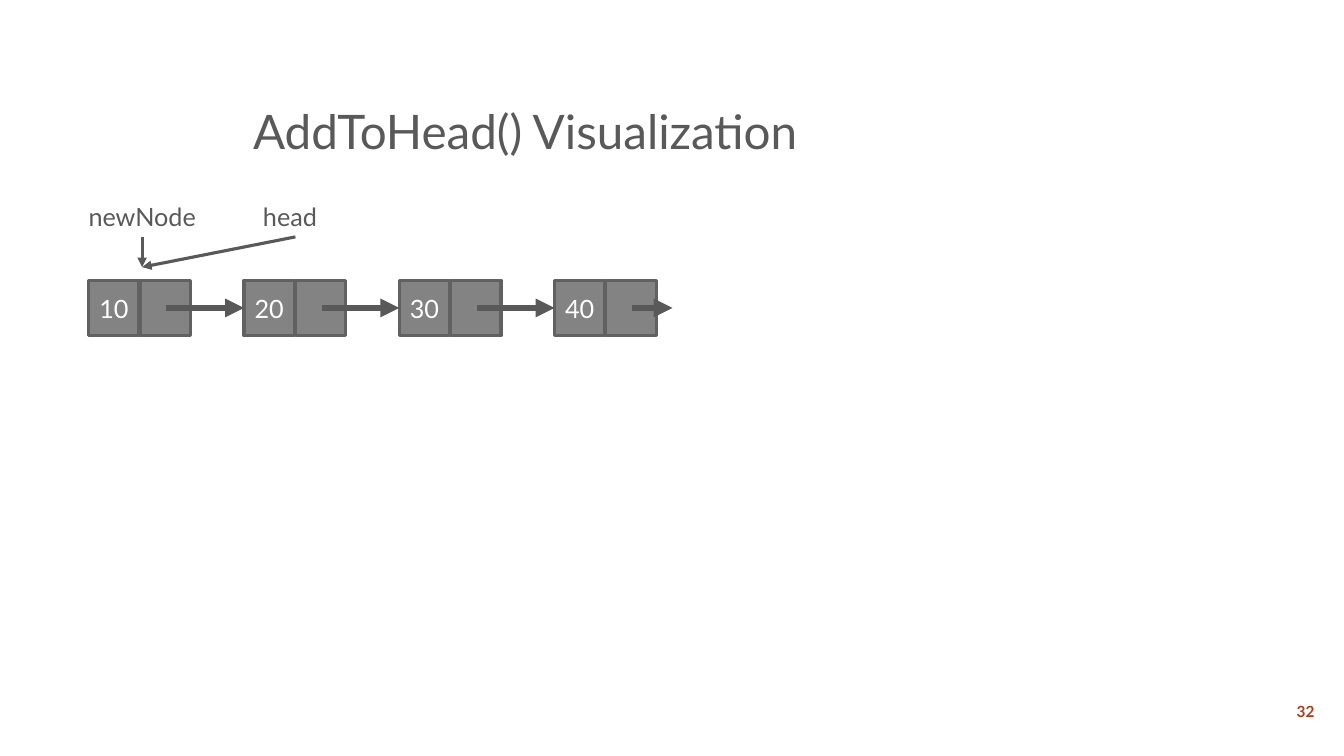
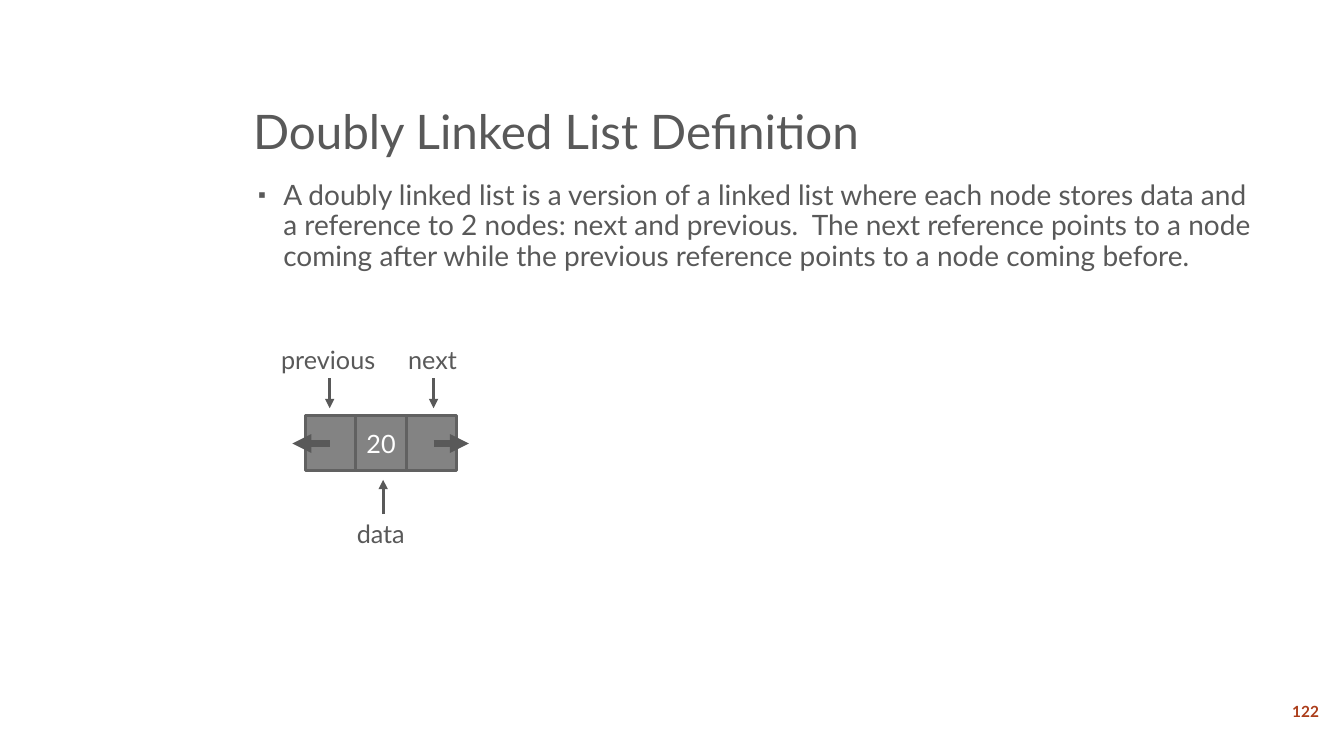
"""Build two slides that explain singly and doubly linked lists."""
import pptx
import pptx.dml.color
import pptx.enum.shapes
import pptx.enum.text
import pptx.oxml
import pptx.oxml.ns
import pptx.util

Inches = pptx.util.Inches
Pt = pptx.util.Pt
RGBColor = pptx.dml.color.RGBColor
Align = pptx.enum.text.PP_ALIGN
Anchor = pptx.enum.text.MSO_ANCHOR

FONT = "Lato"
TEXT = RGBColor(0x59, 0x59, 0x59)
CELL_FILL = RGBColor(0x83, 0x83, 0x83)
CELL_LINE = RGBColor(0x61, 0x61, 0x61)
ACCENT = RGBColor(0xAB, 0x3C, 0x19)
WHITE = RGBColor(0xFF, 0xFF, 0xFF)

TITLE_ONLY, TITLE_AND_BODY = 5, 1
CONTENT_LEFT, CONTENT_WIDTH = 2.41, 10.25
CELL_WIDTH, CELL_HEIGHT = 0.5, 0.55


def add_xml(parent, tag, **attributes):
    """Append a drawing element with attributes to a parent element."""
    child = pptx.oxml.parse_xml(f"<a:{tag} {pptx.oxml.ns.nsdecls('a')}/>")
    for name, value in attributes.items():
        child.set(name, value)
    parent.append(child)


def place(sp, left, top, width, height):
    """Move and size a shape, in inches."""
    sp.left, sp.top = Inches(left), Inches(top)
    sp.width, sp.height = Inches(width), Inches(height)


def write(sp, text, size=18, color=TEXT, bold=False, align=Align.LEFT,
          anchor=Anchor.TOP, wrap=True, spacing=1.0):
    """Fill a shape with one formatted paragraph and return the paragraph."""
    tf = sp.text_frame
    tf.auto_size = pptx.enum.text.MSO_AUTO_SIZE.NONE
    tf.word_wrap = wrap
    tf.vertical_anchor = anchor
    p = tf.paragraphs[0]
    p.alignment = align
    p.line_spacing = spacing
    p.space_before = Pt(0)
    r = p.add_run()
    r.text = text
    r.font.name = FONT
    r.font.size = Pt(size)
    r.font.bold = bold
    r.font.color.rgb = color
    return p


def add_label(slide, text, left, top, width, height=0.4, **formats):
    """Add a text box."""
    sp = slide.shapes.add_textbox(Inches(left), Inches(top),
                                  Inches(width), Inches(height))
    write(sp, text, **formats)


def add_cell(slide, left, top, text=""):
    """Add one rectangular cell of a node."""
    sp = slide.shapes.add_shape(
        pptx.enum.shapes.MSO_SHAPE.RECTANGLE, Inches(left), Inches(top),
        Inches(CELL_WIDTH), Inches(CELL_HEIGHT))
    sp.shadow.inherit = False
    sp.fill.solid()
    sp.fill.fore_color.rgb = CELL_FILL
    sp.line.color.rgb = CELL_LINE
    sp.line.width = Pt(2.25)
    if text:
        write(sp, text, color=WHITE, align=Align.CENTER, anchor=Anchor.MIDDLE)
    return sp


def add_arrow(slide, start, end, width=2.25):
    """Add a straight arrow between two points and return it."""
    line = slide.shapes.add_connector(
        pptx.enum.shapes.MSO_CONNECTOR.STRAIGHT,
        *(Inches(value) for value in (*start, *end)))
    line.line.color.rgb = TEXT
    line.line.width = Pt(width)
    add_xml(line.line._get_or_add_ln(), "tailEnd", type="triangle")
    add_xml(line._element.spPr, "effectLst")
    return line


def add_slide(prs, layout, title, number):
    """Add a slide with its title and slide number."""
    slide = prs.slides.add_slide(prs.slide_layouts[layout])
    place(slide.shapes.title, CONTENT_LEFT, 0.33, CONTENT_WIDTH, 1.31)
    write(slide.shapes.title, title, size=34, anchor=Anchor.BOTTOM, spacing=0.9)
    add_label(slide, number, 12.66, 6.87, 0.58, 0.38, size=11, color=ACCENT,
              bold=True, align=Align.CENTER, anchor=Anchor.MIDDLE)
    return slide


def add_bullet(slide, text):
    """Fill the body placeholder with one bulleted paragraph."""
    body = slide.placeholders[1]
    place(body, CONTENT_LEFT, 1.75, CONTENT_WIDTH, 4.5)
    p = write(body, text, size=20, spacing=0.9)
    pPr = p._p.get_or_add_pPr()
    pPr.set("marL", str(Inches(0.3)))
    pPr.set("indent", str(Inches(-0.25)))
    add_xml(pPr, "buSzPct", val="80000")
    add_xml(pPr, "buChar", char="▪")


def add_chain(slide, values, left, top, pitch):
    """Draw a singly linked chain of nodes joined by arrows."""
    lefts = [left + i * pitch for i in range(len(values))]
    cells = []
    for x, value in zip(lefts, values):
        cells.append(add_cell(slide, x, top, value))
        add_cell(slide, x + 0.51, top)
    middle = top + CELL_HEIGHT / 2
    for x, target in zip(lefts, cells[1:]):
        arrow = add_arrow(slide, (x + 0.77, middle), (x + pitch, middle), 4.5)
        arrow.end_connect(target, 1)
    x = lefts[-1]
    add_arrow(slide, (x + 0.77, middle), (x + 1.17, middle), 4.5)


def build_add_to_head(prs):
    """Build the slide that shows a node added at the head."""
    slide = add_slide(prs, TITLE_ONLY, "AddToHead() Visualization", "32")
    add_chain(slide, ["10", "20", "30", "40"], 0.88, 2.78, 1.54)
    for text, left, width, start in (("newNode", 0.78, 1.27, 1.41),
                                     ("head", 2.51, 0.78, 2.93)):
        add_label(slide, text, left, 1.95, width, wrap=False)
        add_arrow(slide, (start, 2.35), (1.41, 2.65))


def build_doubly_linked(prs):
    """Build the slide that defines a doubly linked node."""
    slide = add_slide(prs, TITLE_AND_BODY, "Doubly Linked List Definition", "122")
    add_bullet(slide, "A doubly linked list is a version of a linked list where "
                      "each node stores data and a reference to 2 nodes: next and "
                      "previous.  The next reference points to a node coming after "
                      "while the previous reference points to a node coming before.")
    for i, value in enumerate(["", "20", ""]):
        add_cell(slide, 3.03 + i * CELL_WIDTH, 4.12, value)
    for text, left, width, x, tip in (("previous", 2.69, 1.17, 3.27, 2.9),
                                      ("next", 3.95, 0.69, 4.3, 4.65)):
        add_label(slide, text, left, 3.37, width, wrap=False)
        add_arrow(slide, (x, 3.75), (x, 4.05))
        add_arrow(slide, (x, 4.4), (tip, 4.4), 4.5)
    add_label(slide, "data", 3.44, 5.09, 0.72, wrap=False)
    add_arrow(slide, (3.8, 5.1), (3.8, 4.76))


def main():
    """Create and save the presentation."""
    prs = pptx.Presentation()
    prs.slide_width, prs.slide_height = Inches(13.33), Inches(7.5)
    build_add_to_head(prs)
    build_doubly_linked(prs)
    prs.save("out.pptx")


if __name__ == "__main__":
    main()
